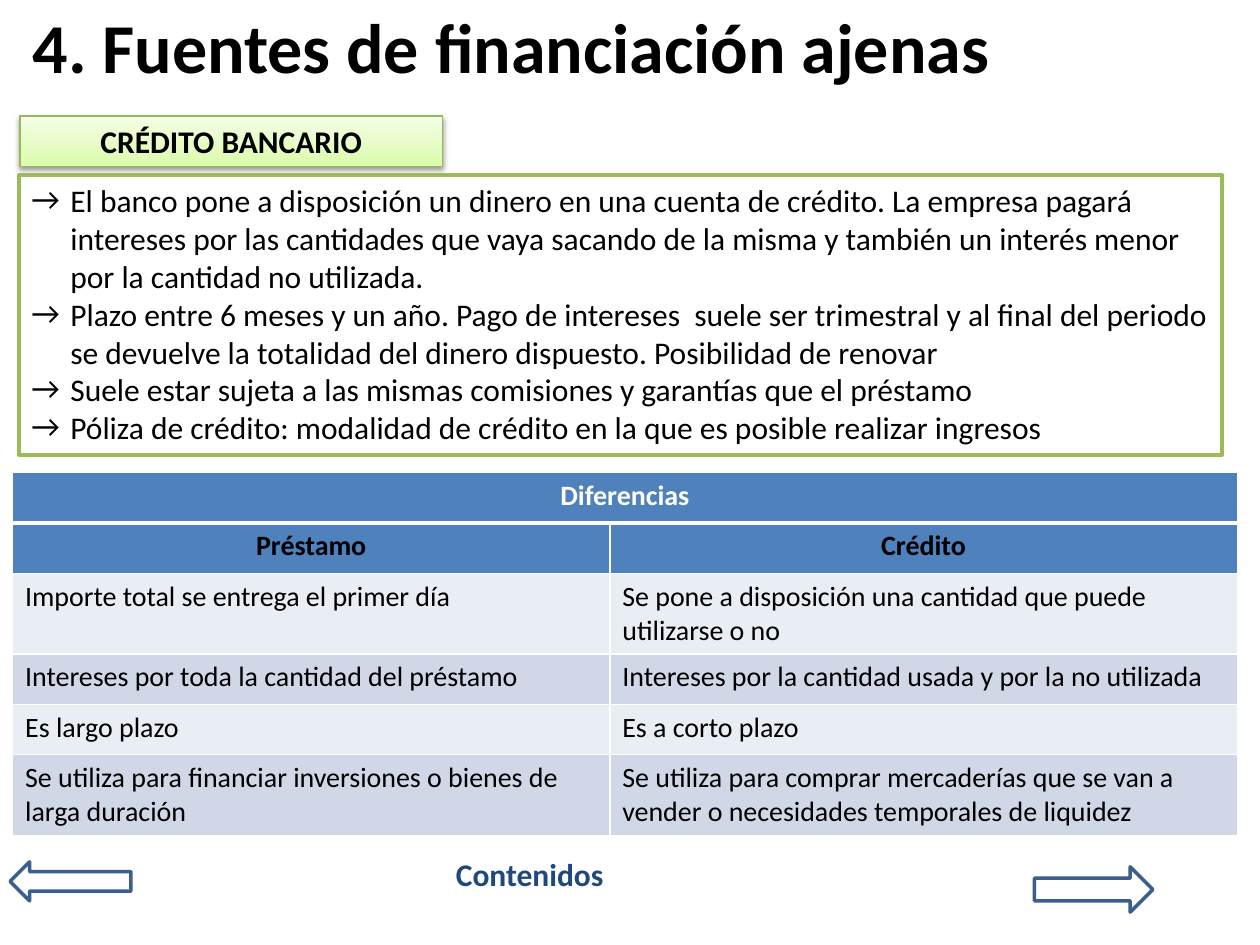
from pptx import Presentation
from pptx.dml.color import RGBColor
from pptx.enum.shapes import MSO_SHAPE
from pptx.enum.text import MSO_ANCHOR, MSO_AUTO_SIZE, PP_ALIGN
from pptx.oxml import parse_xml
from pptx.oxml.ns import qn
from pptx.util import Inches, Pt
from lxml.etree import SubElement

BLACK = RGBColor(0x00, 0x00, 0x00)
WHITE = RGBColor(0xFF, 0xFF, 0xFF)
NAVY = RGBColor(0x1F, 0x49, 0x7D)
ARROW_BLUE = RGBColor(0x3A, 0x5F, 0x8C)
HEADER_BLUE = RGBColor(0x4F, 0x81, 0xBD)
BANDS = (RGBColor(0xE9, 0xED, 0xF4), RGBColor(0xD0, 0xD8, 0xE8))
GREEN = RGBColor(0x9B, 0xBB, 0x59)
TAG_GREEN = RGBColor(0x98, 0xB9, 0x55)
TAG_STOPS = ((0, RGBColor(0xDA, 0xFD, 0xA7)), (35, RGBColor(0xE4, 0xFC, 0xC2)),
             (100, RGBColor(0xF5, 0xFF, 0xE7)))
FONT = "Calibri"
NS = 'xmlns:a="http://schemas.openxmlformats.org/drawingml/2006/main"'

POINTS = (
    "El banco pone a disposición un dinero en una cuenta de crédito. La empresa pagará "
    "intereses por las cantidades que vaya sacando de la misma y también un interés menor "
    "por la cantidad no utilizada.",
    "Plazo entre 6 meses y un año. Pago de intereses  suele ser trimestral y al final del "
    "periodo se devuelve la totalidad del dinero dispuesto. Posibilidad de renovar",
    "Suele estar sujeta a las mismas comisiones y garantías que el préstamo",
    "Póliza de crédito: modalidad de crédito en la que es posible realizar ingresos",
)
DIFFERENCES = (
    ("Diferencias", ""),
    ("Préstamo", "Crédito"),
    ("Importe total se entrega el primer día",
     "Se pone a disposición una cantidad que puede utilizarse o no"),
    ("Intereses por toda la cantidad del préstamo",
     "Intereses por la cantidad usada y por la no utilizada"),
    ("Es largo plazo", "Es a corto plazo"),
    ("Se utiliza para financiar inversiones o bienes de larga duración",
     "Se utiliza para comprar mercaderías que se van a vender o necesidades temporales "
     "de liquidez"),
)
ROW_HEIGHTS = (0.4, 0.4, 0.64, 0.4, 0.4, 0.64)
COLUMN_WIDTHS = (4.74, 4.98)


def inches(box):
    return [Inches(v) for v in box]


def format_text(tf, size, color, bold=False, align=PP_ALIGN.LEFT):
    for p in tf.paragraphs:
        p.alignment = align
        for r in p.runs:
            r.font.name = FONT
            r.font.size = Pt(size)
            r.font.bold = bold
            r.font.color.rgb = color


def add_outlined(s, kind, box, line, width):
    sp = s.shapes.add_shape(kind, *inches(box))
    sp.shadow.inherit = False
    sp.fill.background()
    sp.line.color.rgb = line
    sp.line.width = Pt(width)
    return sp


def add_title(s, box):
    sp = s.shapes.title
    sp.left, sp.top, sp.width, sp.height = inches(box)
    tf = sp.text_frame
    tf.text = "4. Fuentes de financiación ajenas"
    tf.auto_size = MSO_AUTO_SIZE.NONE
    tf.vertical_anchor = MSO_ANCHOR.MIDDLE
    format_text(tf, 40, BLACK, True)


def add_tag(s, box):
    sp = add_outlined(s, MSO_SHAPE.RECTANGLE, box, TAG_GREEN, 0.75)
    stops = "".join(f'<a:gs pos="{pos * 1000}"><a:srgbClr val="{c}"/></a:gs>'
                    for pos, c in TAG_STOPS)
    gradient = parse_xml(f'<a:gradFill {NS} rotWithShape="1"><a:gsLst>{stops}</a:gsLst>'
                         '<a:lin ang="16200000" scaled="0"/></a:gradFill>')
    spPr = sp._element.spPr
    spPr.replace(spPr.find(qn("a:noFill")), gradient)
    spPr.find(qn("a:effectLst")).append(parse_xml(
        f'<a:outerShdw {NS} blurRad="40000" dist="20000" dir="5400000" rotWithShape="0">'
        f'<a:srgbClr val="{BLACK}"><a:alpha val="38000"/></a:srgbClr></a:outerShdw>'))
    tf = sp.text_frame
    tf.word_wrap = True
    tf.text = "CRÉDITO BANCARIO"
    tf.vertical_anchor = MSO_ANCHOR.TOP
    format_text(tf, 18, BLACK, True, PP_ALIGN.CENTER)


def add_points(s, box):
    sp = add_outlined(s, MSO_SHAPE.RECTANGLE, box, GREEN, 2)
    sp.fill.solid()
    sp.fill.fore_color.rgb = WHITE
    tf = sp.text_frame
    tf.word_wrap = True
    tf.text = "\n".join(POINTS)
    tf.vertical_anchor = MSO_ANCHOR.TOP
    format_text(tf, 18, BLACK)
    indent = Inches(0.31)
    for p in tf.paragraphs:
        pPr = p._p.get_or_add_pPr()
        pPr.set("marL", str(indent))
        pPr.set("indent", str(-indent))
        SubElement(pPr, qn("a:buFont"), typeface=FONT)
        SubElement(pPr, qn("a:buChar"), char="→")


def set_borders(cell, bottom):
    tcPr = cell._tc.get_or_add_tcPr()
    widths = {"lnL": 1, "lnR": 1, "lnT": 1, "lnB": bottom}
    for i, (side, width) in enumerate(widths.items()):
        tcPr.insert(i, parse_xml(
            f'<a:{side} {NS} w="{Pt(width)}"><a:solidFill><a:srgbClr val="{WHITE}"/>'
            f'</a:solidFill></a:{side}>'))


def add_differences(s, box):
    table = s.shapes.add_table(len(DIFFERENCES), 2, *inches(box)).table
    for column, width in zip(table.columns, COLUMN_WIDTHS):
        column.width = Inches(width)
    for row, height in zip(table.rows, ROW_HEIGHTS):
        row.height = Inches(height)
    for i, texts in enumerate(DIFFERENCES):
        header = i < 2
        for j, text in enumerate(texts):
            cell = table.cell(i, j)
            cell.text = text
            cell.fill.solid()
            cell.fill.fore_color.rgb = HEADER_BLUE if header else BANDS[i % 2]
            set_borders(cell, 3 if i == 0 else 1)
            format_text(cell.text_frame, 16, WHITE if i == 0 else BLACK, header,
                        PP_ALIGN.CENTER if header else PP_ALIGN.LEFT)
    table.cell(0, 0).merge(table.cell(0, 1))


def add_contents_label(s, box):
    tf = s.shapes.add_textbox(*inches(box)).text_frame
    tf.word_wrap = True
    tf.text = "Contenidos"
    format_text(tf, 18, NAVY, True)


def main():
    prs = Presentation()
    prs.slide_width, prs.slide_height = Inches(10), Inches(7.5)
    s = prs.slides.add_slide(prs.slide_layouts[5])
    add_title(s, (0.16, 0.05, 9.42, 0.63))
    add_contents_label(s, (3.52, 6.74, 1.44, 0.4))
    add_outlined(s, MSO_SHAPE.LEFT_ARROW, (0.08, 6.84, 0.96, 0.31), ARROW_BLUE, 2)
    add_outlined(s, MSO_SHAPE.RIGHT_ARROW, (8.21, 6.88, 0.94, 0.36), ARROW_BLUE, 2)
    add_tag(s, (0.16, 0.92, 3.35, 0.4))
    add_points(s, (0.15, 1.39, 9.55, 2.22))
    add_differences(s, (0.1, 3.75, sum(COLUMN_WIDTHS), sum(ROW_HEIGHTS)))
    prs.save("out.pptx")


if __name__ == "__main__":
    main()
